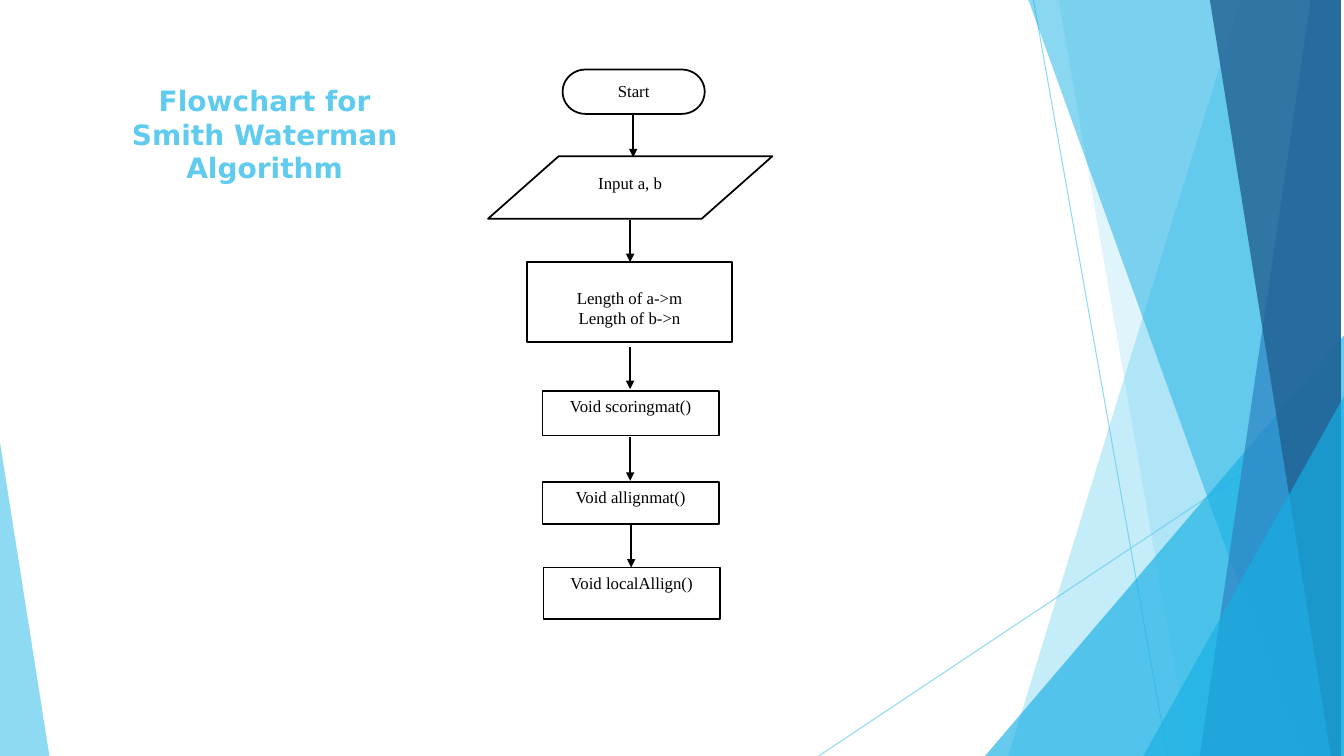
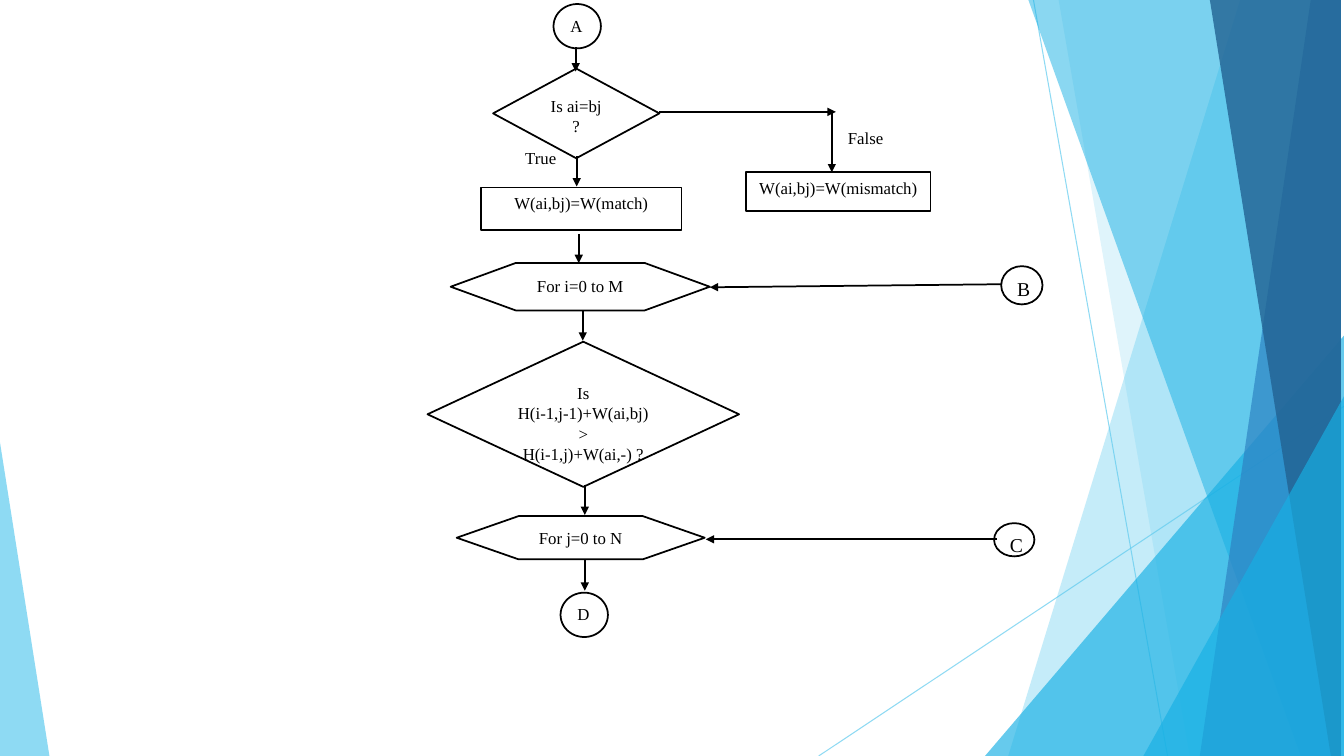
from dataclasses import dataclass

import pptx
import pptx.dml.color
import pptx.enum.shapes
import pptx.enum.text
import pptx.oxml
import pptx.oxml.ns
import pptx.util

MSO = pptx.enum.shapes.MSO_SHAPE
ALIGN = pptx.enum.text.PP_ALIGN
ANCHOR = pptx.enum.text.MSO_ANCHOR
RGB = pptx.dml.color.RGBColor.from_string
Pt = pptx.util.Pt
qn = pptx.oxml.ns.qn

# The grid has square cells, ten to the inch.
CELL = pptx.util.Inches(0.1)
COLS, ROWS = 133.3, 75


@dataclass(frozen=True)
class Theme:
    sky: str = "5FCBEF"
    cyan: str = "17B0E4"
    blue: str = "2E83C3"
    navy: str = "226292"
    ink: str = "000000"
    paper: str = "FFFFFF"
    title_font: str = "DejaVu Sans"
    body_font: str = "Times New Roman"
    title_size: int = 20
    body_size: int = 12
    marker_size: int = 14
    hairline: float = 0.75
    outline: float = 1.25


T = Theme()


def connect(s, ends, colour=T.ink, weight=T.outline, arrow=True):
    """Draw a straight line between two grid points (x1, y1, x2, y2)."""
    ln = s.shapes.add_connector(
        pptx.enum.shapes.MSO_CONNECTOR.STRAIGHT, *[round(v * CELL) for v in ends])
    ln.line.color.rgb = RGB(colour)
    ln.line.width = Pt(weight)
    pr = ln.element.find(qn("p:spPr"))
    if arrow:
        pr.find(qn("a:ln")).append(pptx.oxml.parse_xml(
            f'<a:tailEnd {pptx.oxml.ns.nsdecls("a")} type="triangle"/>'))
    pr.append(pptx.oxml.parse_xml(f'<a:effectLst {pptx.oxml.ns.nsdecls("a")}/>'))
    return ln


def write(tf, lines, size=T.body_size, font=T.body_font, colour=T.ink,
          align=ALIGN.CENTER, anchor=ANCHOR.TOP, bold=False):
    tf.word_wrap = True
    tf.vertical_anchor = anchor
    for i, line in enumerate(lines):
        p = tf.paragraphs[0] if i == 0 else tf.add_paragraph()
        p.alignment = align
        r = p.add_run()
        r.text = line
        r.font.name, r.font.size, r.font.bold = font, Pt(size), bold
        r.font.color.rgb = RGB(colour)


prs = pptx.Presentation()
prs.slide_width, prs.slide_height = round(COLS * CELL), round(ROWS * CELL)
blank = prs.slide_layouts[6]
start_slide, loop_slide = [prs.slides.add_slide(blank) for _ in range(2)]

# Shared backdrop: drawn once, then moved to the layout.
# A band is (top x, bottom x) up to the right edge; a triangle is
# (left, top, width, apex) down to the bottom edge.
facets = [
    ((122.8, 100.4), T.sky, 36),
    ((105, 118.3), T.sky, 20),
    ((97.7, 33.3, 35.6, 1), T.cyan, 66),
    ((102.1, 129.1), T.cyan, 50),
    ((130.3, 119.2), T.blue, 70),
    ((119.6, 131.8), T.navy, 80),
    ((113.4, 39.3, 19.9, 1), T.cyan, 66),
    ((0, 43.9, 4.9, 0), T.sky, 70),
]
backdrop = []
for ends in [(102.5, 0, 115.8, ROWS), (COLS, 40.3, 81.2, ROWS)]:
    backdrop.append((connect(start_slide, ends, T.sky, T.hairline, arrow=False), 70))
for place, colour, opacity in facets:
    if len(place) == 2:
        top_x, bottom_x = place
        fb = start_slide.shapes.build_freeform(top_x, 0, scale=CELL)
        fb.add_line_segments([(COLS, 0), (COLS, ROWS), (bottom_x, ROWS)])
        sp = fb.convert_to_shape()
    else:
        x, y, w, apex = place
        sp = start_slide.shapes.add_shape(
            MSO.ISOSCELES_TRIANGLE, *[round(v * CELL) for v in (x, y, w, ROWS - y)])
        sp.adjustments[0] = apex
    sp.shadow.inherit = False
    sp.fill.solid()
    sp.fill.fore_color.rgb = RGB(colour)
    sp.line.fill.background()
    backdrop.append((sp, opacity))
for sp, opacity in backdrop:
    for clr in sp.element.iter(qn("a:srgbClr")):
        clr.append(pptx.oxml.parse_xml(
            f'<a:alpha {pptx.oxml.ns.nsdecls("a")} val="{opacity * 1000}"/>'))
    blank.shapes.element.append(sp.element)

# Flowchart nodes: preset, (left, top, width, height), lines, options.
BOX, DECISION = MSO.FLOWCHART_PROCESS, MSO.FLOWCHART_DECISION
MARKER = MSO.FLOWCHART_CONNECTOR
start_nodes = [
    (MSO.PARALLELOGRAM, (48.4, 15.5, 28.2, 6.2), ["Input a, b"], {"adj": 1.13}),
    (MSO.FLOWCHART_TERMINATOR, (55.8, 6.9, 14.1, 4.4), ["Start"], {}),
    (BOX, (52.3, 26, 20.3, 7.9), ["Length of a->m", "Length of b->n"], {"inset": 2.5}),
    (BOX, (53.8, 38.8, 17.5, 4.4), ["Void scoringmat()"], {}),
    (BOX, (53.8, 47.8, 17.5, 4.2), ["Void allignmat()"], {}),
    (BOX, (53.9, 56.3, 17.5, 5.1), ["Void localAllign()"], {}),
]
start_arrows = [
    (62.8, 11.3, 62.8, 15.6), (62.5, 21.8, 62.5, 26), (62.5, 34.4, 62.5, 38.6),
    (62.5, 43.4, 62.5, 47.7), (62.6, 52, 62.6, 56.3),
]
loop_nodes = [
    (MARKER, (54.9, 0.4, 4.7, 4.4), ["A"], {}),
    (DECISION, (48.9, 6.8, 16.5, 8.9), ["Is ai=bj", "?"], {}),
    (BOX, (47.7, 18.6, 19.9, 4.2), ["W(ai,bj)=W(match)"], {}),
    (BOX, (74, 17.1, 18.3, 3.8), ["W(ai,bj)=W(mismatch)"], {}),
    (MSO.HEXAGON, (44.7, 26.1, 25.7, 4.7), ["For i=0 to M"], {"adj": 1.37}),
    (MSO.HEXAGON, (45.3, 51.2, 24.6, 4.3), ["For j=0 to N"], {"adj": 1.43}),
    (DECISION, (42.4, 33.9, 30.9, 14.4),
     ["Is H(i-1,j-1)+W(ai,bj)>", "H(i-1,j)+W(ai,-) ?"], {}),
    (MARKER, (55.6, 58.8, 4.7, 4.4), ["D"], {}),
    (MARKER, (99.3, 26.4, 4.1, 3.8), ["B"], {"size": T.marker_size}),
    (MARKER, (98.6, 51.9, 4, 3.3), ["C"], {"size": T.marker_size}),
]
loop_arrows = [
    (57.1, 4.7, 57.1, 7.1), (57.2, 15.5, 57.2, 18.5), (57.4, 23.2, 57.4, 26.1),
    (57.8, 30.8, 57.8, 33.8), (58, 48.1, 58, 51.1), (58, 55.6, 58, 58.6),
    (65.4, 11.1, 82.9, 11.1), (82.5, 11.2, 82.5, 17.1),
    (99.3, 28.2, 70.4, 28.5), (98.9, 53.5, 70, 53.5),
]
for s, nodes, arrows in [(start_slide, start_nodes, start_arrows),
                         (loop_slide, loop_nodes, loop_arrows)]:
    for preset, place, lines, opts in nodes:
        sp = s.shapes.add_shape(preset, *[round(v * CELL) for v in place])
        sp.shadow.inherit = False
        sp.fill.solid()
        sp.fill.fore_color.rgb = RGB(T.paper)
        sp.line.color.rgb = RGB(T.ink)
        sp.line.width = Pt(T.outline)
        if "adj" in opts:
            sp.adjustments[0] = opts["adj"]
        if "inset" in opts:
            sp.text_frame.margin_top = round(opts["inset"] * CELL)
        write(sp.text_frame, lines, opts.get("size", T.body_size),
              align=ALIGN.LEFT if preset == MARKER else ALIGN.CENTER)
    for ends in arrows:
        connect(s, ends)

for label, x, y in [("True", 52.1, 14.7), ("False", 84.1, 12.7)]:
    tf = loop_slide.shapes.add_textbox(
        *[round(v * CELL) for v in (x, y, 5, 2)]).text_frame
    tf.margin_left = tf.margin_right = tf.margin_top = tf.margin_bottom = 0
    write(tf, [label], align=ALIGN.LEFT)

title = start_slide.shapes.add_textbox(*[round(v * CELL) for v in (9.7, 7.6, 33.1, 11.4)])
write(title.text_frame, ["Flowchart for Smith Waterman Algorithm"], T.title_size,
      T.title_font, T.sky, anchor=ANCHOR.MIDDLE, bold=True)

prs.save("out.pptx")
